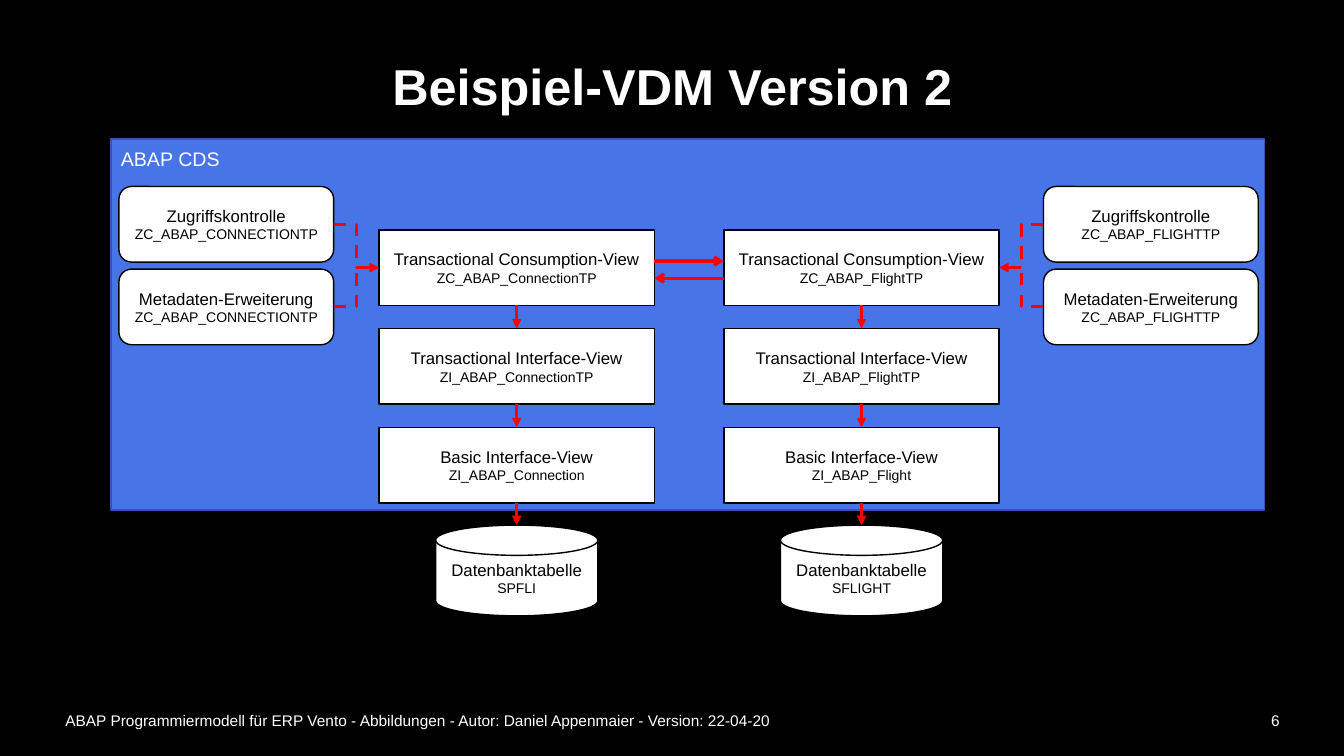
from lxml import etree
from pptx import Presentation
from pptx.dml.color import RGBColor
from pptx.enum.dml import MSO_LINE
from pptx.enum.shapes import MSO_CONNECTOR, MSO_SHAPE
from pptx.enum.text import MSO_ANCHOR, PP_ALIGN
from pptx.oxml.ns import qn
from pptx.util import Inches, Pt

RECT, ROUND = MSO_SHAPE.RECTANGLE, MSO_SHAPE.ROUNDED_RECTANGLE
DISK = MSO_SHAPE.FLOWCHART_MAGNETIC_DISK
STRAIGHT, ELBOW = MSO_CONNECTOR.STRAIGHT, MSO_CONNECTOR.ELBOW
LEFT, CENTER, RIGHT = PP_ALIGN.LEFT, PP_ALIGN.CENTER, PP_ALIGN.RIGHT
TOP, MIDDLE = MSO_ANCHOR.TOP, MSO_ANCHOR.MIDDLE
DASH = MSO_LINE.DASH
BLACK = RGBColor(0x00, 0x00, 0x00)
WHITE = RGBColor(0xFF, 0xFF, 0xFF)
BLUE = RGBColor(0x47, 0x75, 0xE7)
DARK_BLUE = RGBColor(0x35, 0x57, 0xAB)
RED = RGBColor(0xFF, 0x00, 0x00)

TITLE = "Beispiel-VDM Version 2"
FOOTER = ("ABAP Programmiermodell für ERP Vento - Abbildungen - "
          "Autor: Daniel Appenmaier - Version: 22-04-20")
PAGE = "6"
PANEL = "ABAP CDS"
VIEWS = ["Transactional Consumption-View", "Transactional Interface-View",
         "Basic Interface-View"]
TABLE = "Datenbanktabelle"
EXTRAS = ["Zugriffskontrolle", "Metadaten-Erweiterung"]
STACKS = [
    {"x": 3.76, "extra_x": 1.18, "extra_name": "ZC_ABAP_CONNECTIONTP",
     "views": ["ZC_ABAP_ConnectionTP", "ZI_ABAP_ConnectionTP", "ZI_ABAP_Connection"],
     "table": "SPFLI"},
    {"x": 7.18, "extra_x": 10.35, "extra_name": "ZC_ABAP_FLIGHTTP",
     "views": ["ZC_ABAP_FlightTP", "ZI_ABAP_FlightTP", "ZI_ABAP_Flight"],
     "table": "SFLIGHT"},
]

VIEW_W, BOX_H, VIEW_Y, VIEW_STEP = 2.73, 0.75, 2.28, 0.98
EXTRA_W, EXTRA_Y, EXTRA_STEP = 2.13, 1.85, 0.82
DISK_W, DISK_H, DISK_Y = 1.61, 0.9, 5.21

prs = Presentation()
prs.slide_width, prs.slide_height = Inches(13.33), Inches(7.5)
s = prs.slides.add_slide(prs.slide_layouts[6])
s.background.fill.solid()
s.background.fill.fore_color.rgb = BLACK


def write(sp, lines, color, align=CENTER, anchor=MIDDLE, bold=False):
    tf = sp.text_frame
    tf.word_wrap = True
    tf.vertical_anchor = anchor
    for i, (text, size) in enumerate(lines):
        p = tf.paragraphs[0] if i == 0 else tf.add_paragraph()
        p.text = text
        p.alignment = align
        p.font.name = "Arial"
        p.font.size = Pt(size)
        p.font.bold = bold
        p.font.color.rgb = color
    return tf


def add_text(x, y, w, h, text, size, align, bold=False):
    sp = s.shapes.add_textbox(Inches(x), Inches(y), Inches(w), Inches(h))
    write(sp, [(text, size)], WHITE, align, bold=bold)


def add_box(kind, x, y, w, h, fill=WHITE, line=BLACK):
    sp = s.shapes.add_shape(kind, Inches(x), Inches(y), Inches(w), Inches(h))
    sp.shadow.inherit = False
    sp.fill.solid()
    sp.fill.fore_color.rgb = fill
    sp.line.color.rgb = line
    sp.line.width = Pt(1)
    return sp


def add_node(kind, x, y, w, h, label, name):
    tf = write(add_box(kind, x, y, w, h), [(label, 12), (name, 10)], BLACK)
    tf.margin_left = tf.margin_right = Inches(0.05)


def add_arrow(kind, x1, y1, x2, y2, head="triangle", dash=None):
    c = s.shapes.add_connector(kind, Inches(x1), Inches(y1), Inches(x2), Inches(y2))
    c.line.color.rgb = RED
    c.line.width = Pt(2.25)
    if dash:
        c.line.dash_style = dash
    etree.SubElement(c.line._get_or_add_ln(), qn("a:tailEnd"), type=head)
    etree.SubElement(c._element.spPr, qn("a:effectLst"))


panel = add_box(RECT, 1.1, 1.38, 11.44, 3.68, BLUE, DARK_BLUE)
tf = write(panel, [(PANEL, 14)], WHITE, LEFT, TOP)
tf.margin_top = Inches(0.08)
add_text(0.55, 0.25, 12.24, 1.2, TITLE, 36, CENTER, bold=True)
add_text(0.55, 6.95, 11.44, 0.4, FOOTER, 11, LEFT)
add_text(11.99, 6.95, 0.8, 0.4, PAGE, 11, RIGHT)

view_mid = VIEW_Y + BOX_H / 2
for stack in STACKS:
    x, extra_x = stack["x"], stack["extra_x"]
    mid = x + VIEW_W / 2
    tops = [VIEW_Y + i * VIEW_STEP for i in range(len(VIEWS))]
    for y, label, name in zip(tops, VIEWS, stack["views"]):
        add_node(RECT, x, y, VIEW_W, BOX_H, label, name)
    add_node(DISK, mid - DISK_W / 2, DISK_Y, DISK_W, DISK_H, TABLE, stack["table"])
    for y, below in zip(tops, tops[1:] + [DISK_Y]):
        add_arrow(STRAIGHT, mid, y + BOX_H, mid, below)

    on_left = extra_x < x
    start_x = extra_x + EXTRA_W if on_left else extra_x
    end_x = x if on_left else x + VIEW_W
    for i, label in enumerate(EXTRAS):
        y = EXTRA_Y + i * EXTRA_STEP
        add_node(ROUND, extra_x, y, EXTRA_W, BOX_H, label, stack["extra_name"])
        add_arrow(ELBOW, start_x, y + BOX_H / 2, end_x, view_mid, dash=DASH)

gap_left, gap_right = STACKS[0]["x"] + VIEW_W, STACKS[1]["x"]
add_arrow(STRAIGHT, gap_left, 2.59, gap_right, 2.59, "arrow")
add_arrow(STRAIGHT, gap_right, 2.76, gap_left, 2.76, "arrow")

prs.save("out.pptx")
